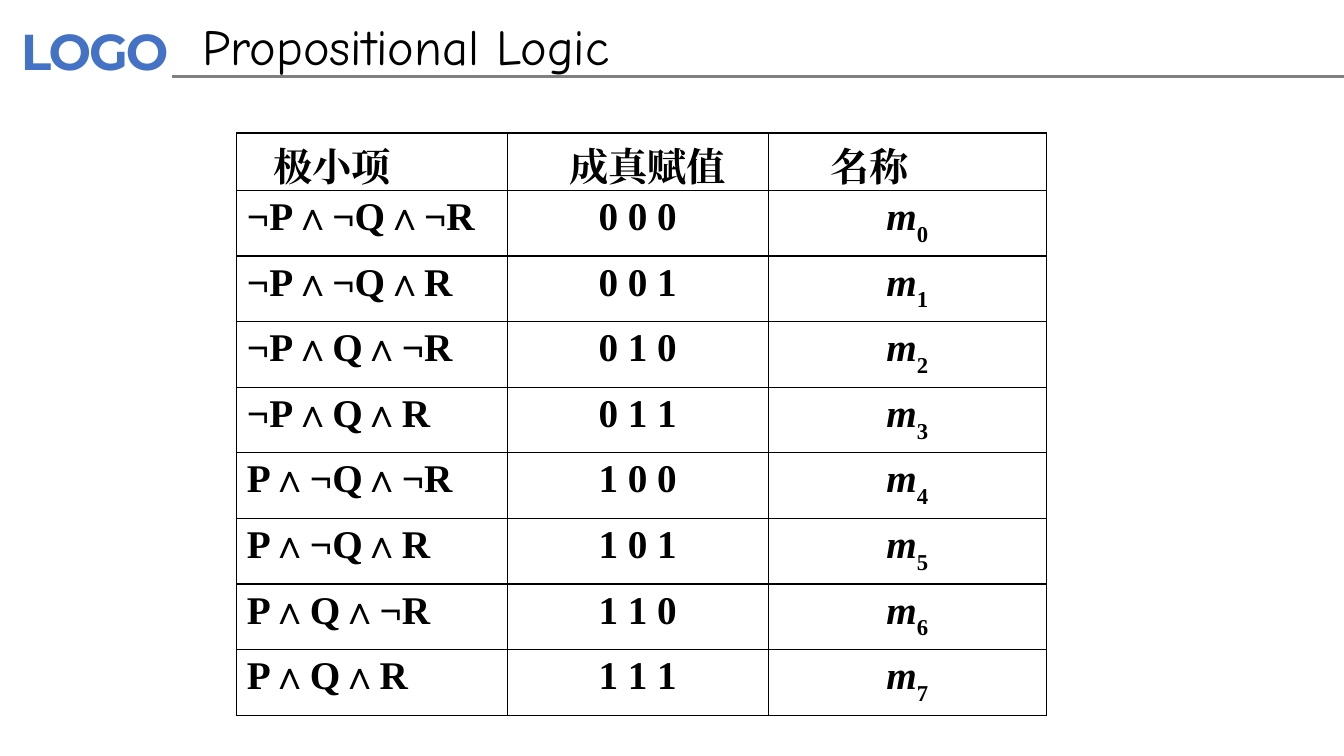
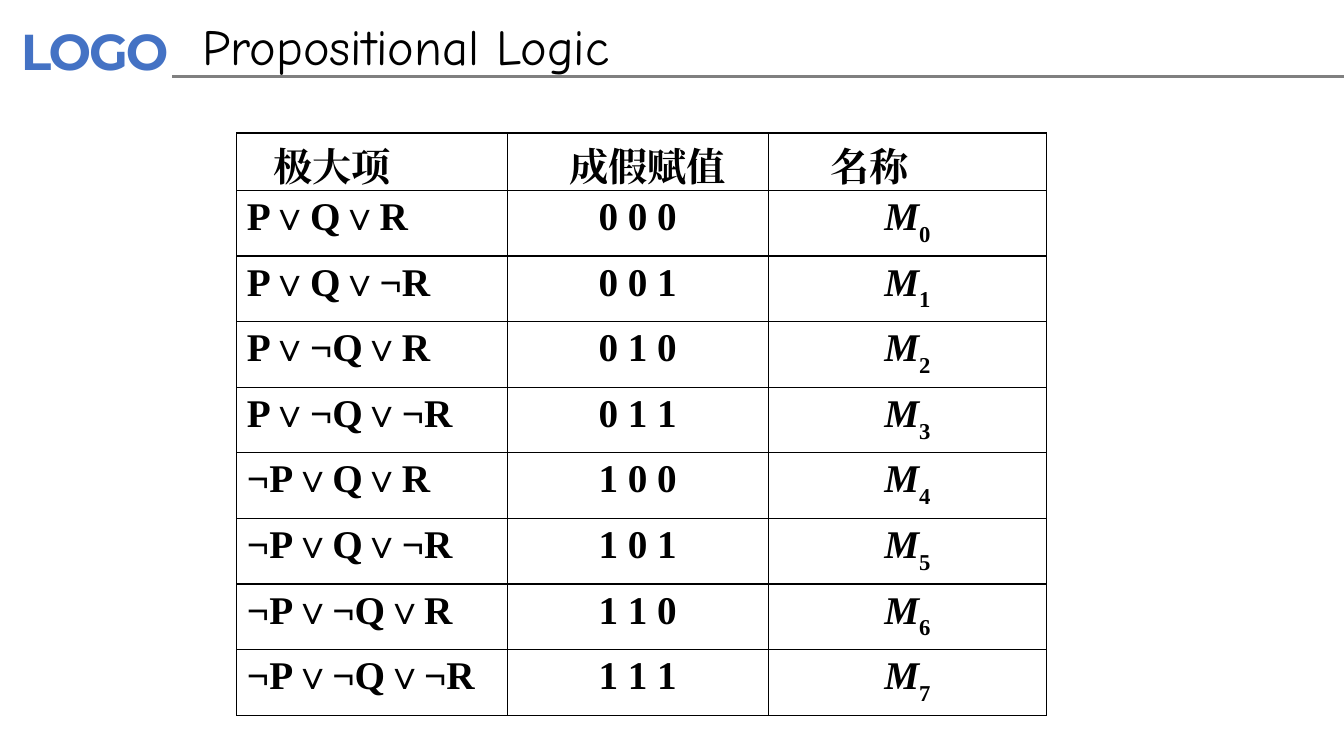
from dataclasses import dataclass
from itertools import product

from lxml import etree
from pptx import Presentation
from pptx.dml.color import RGBColor
from pptx.enum.shapes import MSO_CONNECTOR
from pptx.enum.text import MSO_ANCHOR, MSO_AUTO_SIZE, PP_ALIGN
from pptx.oxml.ns import qn
from pptx.slide import Slide
from pptx.util import Cm, Pt

LEFT, CENTER = PP_ALIGN.LEFT, PP_ALIGN.CENTER
TOP = MSO_ANCHOR.TOP
NO_AUTOFIT = MSO_AUTO_SIZE.NONE
STRAIGHT = MSO_CONNECTOR.STRAIGHT
TITLE_ONLY = 5


@dataclass(frozen=True)
class Theme:
    accent: RGBColor = RGBColor(0x44, 0x72, 0xC4)
    rule: RGBColor = RGBColor(0x80, 0x80, 0x80)
    ink: RGBColor = RGBColor(0, 0, 0)
    paper: RGBColor = RGBColor(0xFF, 0xFF, 0xFF)
    title_size: Pt = Pt(36)
    table_size: Pt = Pt(28)
    header_line: Pt = Pt(41)
    rule_width: Pt = Pt(2)
    border_width: Pt = Pt(1)
    title_font: str = "Comic Neue"
    logo_font: str = "Montserrat"
    table_font: str = "Times New Roman"


@dataclass(frozen=True)
class TermTable:
    headers: tuple[str, str, str]
    operator: str
    negated_bit: int
    symbol: str
    bold_operator: bool


THEME = Theme()
VARIABLES = "PQR"
COLUMN_WIDTHS = (Cm(6.81), Cm(6.58), Cm(7.01))
HEADER_INDENTS = (Cm(0.92), Cm(1.56), Cm(1.56))
HEADER_HEIGHT, ROW_HEIGHT = Cm(1.45), Cm(1.65)
TABLES = (
    TermTable(("极小项", "成真赋值", "名称"), "∧", 0, "m", True),
    TermTable(("极大项", "成假赋值", "名称"), "∨", 1, "M", False),
)


def set_attributes(target, values: dict) -> None:
    for name, value in values.items():
        setattr(target, name, value)


def add_run(paragraph, text: str, font: str, size: Pt, color: RGBColor, **style):
    run = paragraph.add_run()
    run.text = text
    set_attributes(run.font, {"name": font, "size": size, **style})
    run.font.color.rgb = color
    return run


def add_table_run(paragraph, text: str, bold: bool = True, italic: bool = False):
    """Add table text that uses one font for Latin and East Asian characters."""
    run = add_run(paragraph, text, THEME.table_font, THEME.table_size, THEME.ink,
                  bold=bold, italic=italic)
    properties = run._r.get_or_add_rPr()
    etree.SubElement(properties, qn("a:ea"), typeface=THEME.table_font)
    return run


def add_header_band(slide: Slide) -> None:
    logo = slide.shapes.add_textbox(Cm(0.2), Cm(0.33), Cm(4.72), Cm(1.88))
    set_attributes(logo.text_frame, {
        "word_wrap": True, "margin_left": Cm(0.33), "margin_right": Cm(0.33),
        "margin_top": Cm(0.18), "margin_bottom": Cm(0.18),
    })
    run = add_run(logo.text_frame.paragraphs[0], "LOGO", THEME.logo_font,
                  THEME.title_size, THEME.accent, bold=True)
    run._r.get_or_add_rPr().set("spc", "-150")

    rule = slide.shapes.add_connector(STRAIGHT, Cm(4.34), Cm(1.93), Cm(33.87), Cm(1.93))
    rule.line.color.rgb = THEME.rule
    rule.line.width = THEME.rule_width
    etree.SubElement(rule.element.spPr, qn("a:effectLst"))


def set_title(slide: Slide, text: str) -> None:
    title = slide.shapes.title
    set_attributes(title, {"left": Cm(4.85), "top": Cm(0.25),
                           "width": Cm(16), "height": Cm(1.8)})
    set_attributes(title.text_frame, {"word_wrap": True, "auto_size": NO_AUTOFIT,
                                      "vertical_anchor": TOP})
    paragraph = title.text_frame.paragraphs[0]
    paragraph.alignment = LEFT
    add_run(paragraph, text, THEME.title_font, THEME.title_size, THEME.ink)


def format_cell(cell) -> None:
    cell.fill.solid()
    cell.fill.fore_color.rgb = THEME.paper
    properties = cell._tc.get_or_add_tcPr()
    for index, side in enumerate(("lnL", "lnR", "lnT", "lnB")):
        border = etree.Element(qn(f"a:{side}"), w=str(THEME.border_width))
        fill = etree.SubElement(border, qn("a:solidFill"))
        etree.SubElement(fill, qn("a:srgbClr"), val=str(THEME.ink))
        properties.insert(index, border)


def fill_header(table, headers: tuple[str, str, str]) -> None:
    for column, (text, indent) in enumerate(zip(headers, HEADER_INDENTS)):
        cell = table.cell(0, column)
        set_attributes(cell, {"margin_left": indent, "margin_right": 0,
                              "margin_top": 0, "margin_bottom": 0})
        paragraph = cell.text_frame.paragraphs[0]
        paragraph.line_spacing = THEME.header_line
        add_table_run(paragraph, text)


def fill_row(table, row: int, bits: tuple[int, ...], terms: TermTable) -> None:
    term, assignment, name = (
        table.cell(row, column).text_frame.paragraphs[0] for column in range(3))
    for index, (variable, bit) in enumerate(zip(VARIABLES, bits)):
        if index:
            add_table_run(term, terms.operator, bold=terms.bold_operator)
        add_table_run(term, f"¬{variable}" if bit == terms.negated_bit else variable)

    assignment.alignment = name.alignment = CENTER
    add_table_run(assignment, " ".join(map(str, bits)))
    add_table_run(name, terms.symbol, italic=True)
    subscript = add_table_run(name, str(row - 1))
    subscript._r.get_or_add_rPr().set("baseline", "-30000")


def add_term_table(slide: Slide, terms: TermTable) -> None:
    assignments = list(product((0, 1), repeat=len(VARIABLES)))
    table = slide.shapes.add_table(
        len(assignments) + 1, len(COLUMN_WIDTHS), Cm(5.97), Cm(3.35),
        sum(COLUMN_WIDTHS), HEADER_HEIGHT + ROW_HEIGHT * len(assignments)).table
    set_attributes(table, {"first_row": False, "horz_banding": False})
    for column, width in zip(table.columns, COLUMN_WIDTHS):
        column.width = width
    for index, row in enumerate(table.rows):
        row.height = ROW_HEIGHT if index else HEADER_HEIGHT
    for cell in table.iter_cells():
        format_cell(cell)
    fill_header(table, terms.headers)
    for row, bits in enumerate(assignments, start=1):
        fill_row(table, row, bits, terms)


def main() -> None:
    presentation = Presentation()
    presentation.slide_width, presentation.slide_height = Cm(33.87), Cm(19.05)
    for terms in TABLES:
        slide = presentation.slides.add_slide(presentation.slide_layouts[TITLE_ONLY])
        add_header_band(slide)
        set_title(slide, "Propositional Logic")
        add_term_table(slide, terms)
    presentation.save("out.pptx")


if __name__ == "__main__":
    main()
